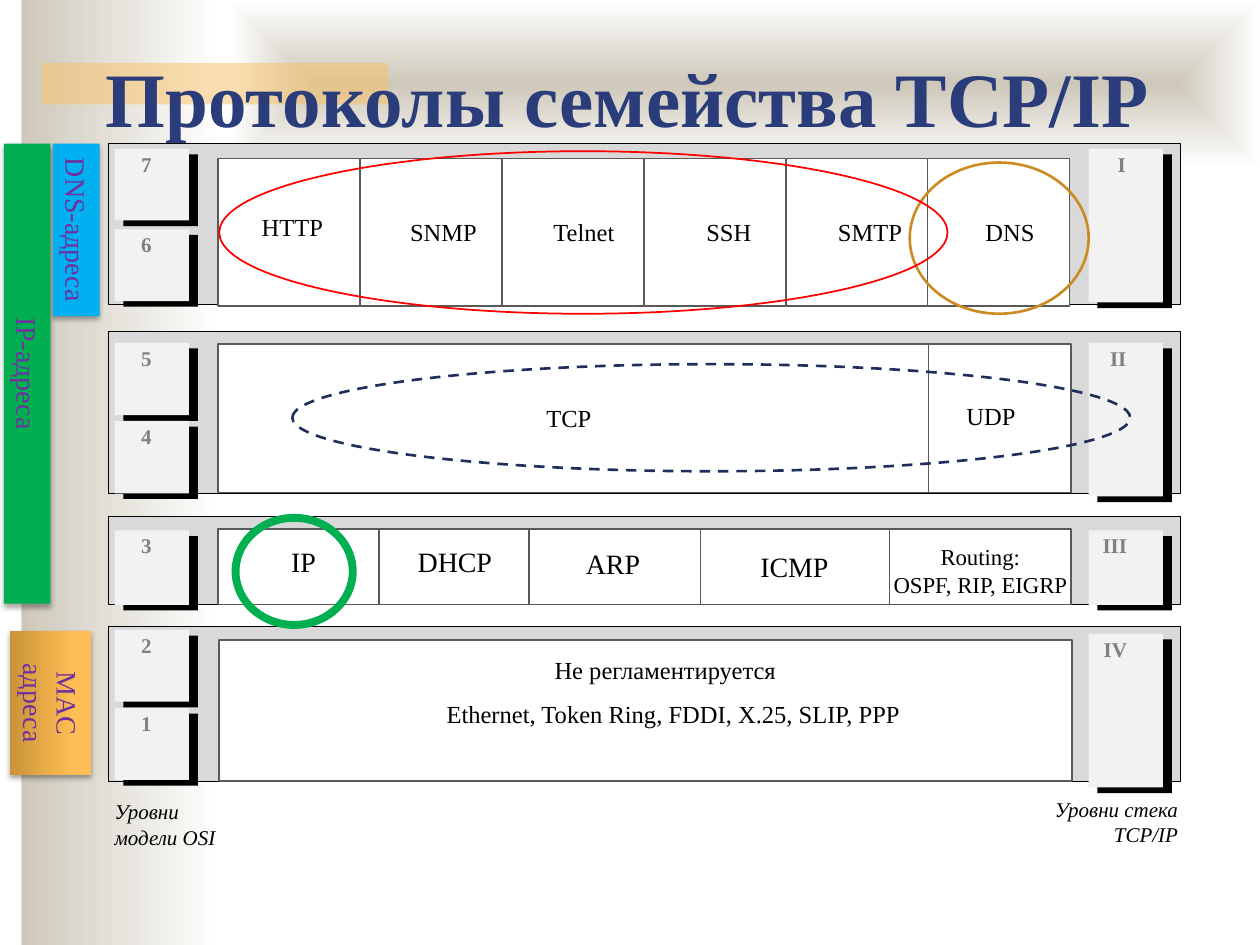
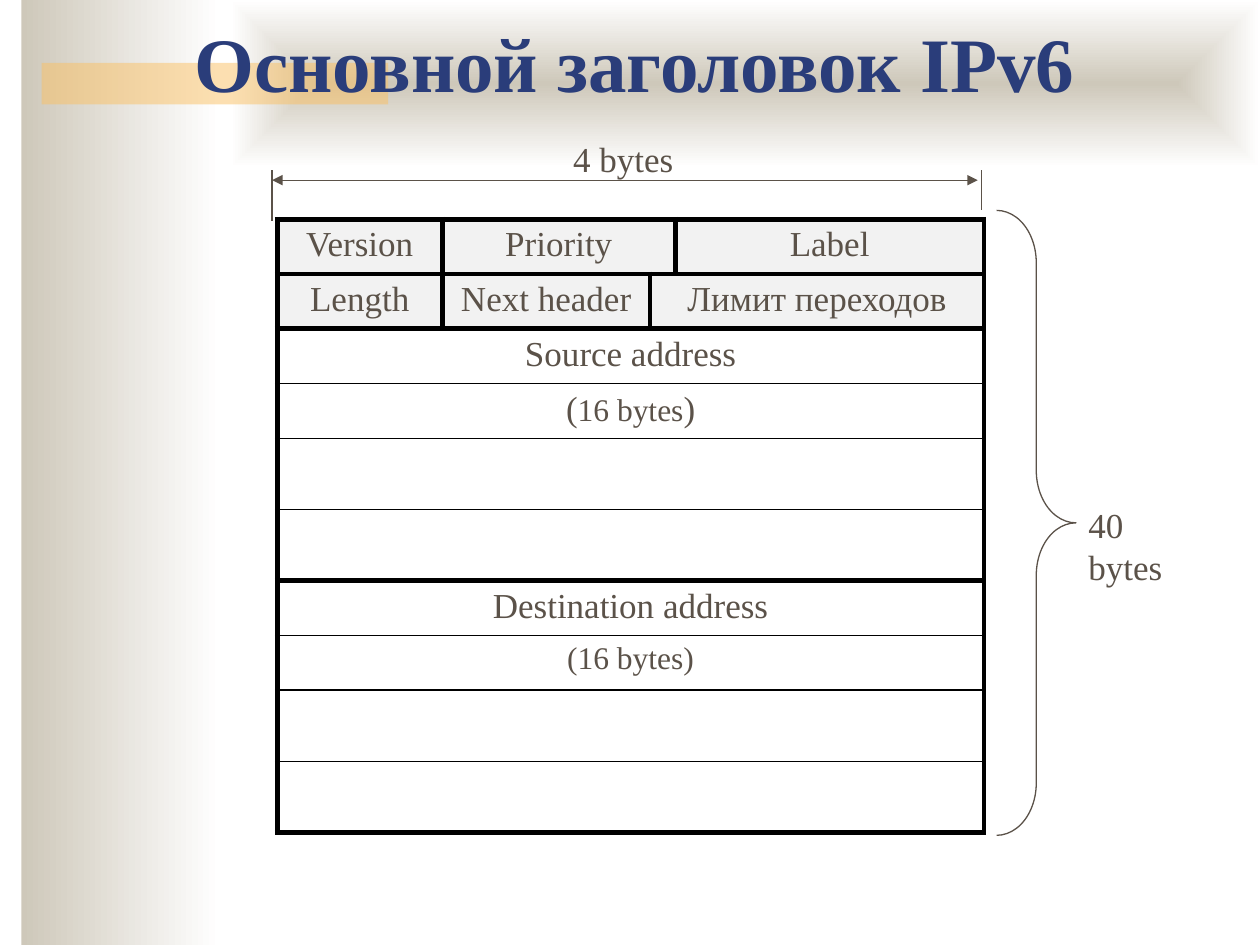
from lxml.etree import SubElement, fromstring
from pptx import Presentation
from pptx.dml.color import RGBColor
from pptx.enum.dml import MSO_LINE
from pptx.enum.shapes import MSO_CONNECTOR, MSO_SHAPE
from pptx.enum.text import MSO_ANCHOR, PP_ALIGN
from pptx.oxml.ns import nsdecls, qn
from pptx.util import Inches, Pt

# Slide grid: 100 columns by 75 rows
WIDTH, HEIGHT = Inches(10), Inches(7.5)
COL, ROW = WIDTH / 100, HEIGHT / 75

FONT = "Times New Roman"
BLACK = RGBColor(0x00, 0x00, 0x00)
WHITE = RGBColor(0xFF, 0xFF, 0xFF)
NAVY = RGBColor(0x2A, 0x3D, 0x7A)
DEEP = RGBColor(0x20, 0x2E, 0x5C)
SAND = RGBColor(0xCE, 0xC8, 0xBA)
AMBER = RGBColor(0xFA, 0xC1, 0x64)
PANEL = RGBColor(0xD9, 0xD9, 0xD9)
PALE = RGBColor(0xF2, 0xF2, 0xF2)
GRAY = RGBColor(0x80, 0x80, 0x80)
EDGE = RGBColor(0x59, 0x59, 0x59)
BROWN = RGBColor(0x5B, 0x52, 0x49)
PURPLE = RGBColor(0x70, 0x30, 0xA0)
GREEN = RGBColor(0x00, 0xB0, 0x50)
BLUE = RGBColor(0x00, 0xB0, 0xF0)
RED = RGBColor(0xFF, 0x00, 0x00)
GOLD = RGBColor(0xCB, 0x8B, 0x22)
OCHRE = [(0, RGBColor(0xCB, 0x94, 0x3A)), (80, RGBColor(0xFF, 0xBE, 0x54)),
         (100, RGBColor(0xFF, 0xBF, 0x56))]
FADE = [(0, SAND), (100, WHITE)]
LINEAR = '<a:lin ang="{}" scaled="0"/>'
CENTRE = ('<a:path path="shape"><a:fillToRect l="50000" t="50000" '
          'r="50000" b="50000"/></a:path>')


def place(x, y, w, h):
    return [round(v) for v in (x * COL, y * ROW, w * COL, h * ROW)]


# Basic elements
def shape(slide, box, fill=None, line=None, width=0.75, kind=MSO_SHAPE.RECTANGLE):
    item = slide.shapes.add_shape(kind, *place(*box))
    item.shadow.inherit = False
    if fill is None:
        item.fill.background()
    else:
        item.fill.solid()
        item.fill.fore_color.rgb = fill
    if line is None:
        item.line.fill.background()
    else:
        item.line.color.rgb = line
        item.line.width = Pt(width)
    return item


def blend(item, stops, way):
    """Swap the solid fill for a gradient."""
    marks = "".join(f'<a:gs pos="{at * 1000}"><a:srgbClr val="{tone}"/></a:gs>'
                    for at, tone in stops)
    old = item.element.spPr.find(qn("a:solidFill"))
    old.getparent().replace(old, fromstring(
        f'<a:gradFill {nsdecls("a")} rotWithShape="1">'
        f'<a:gsLst>{marks}</a:gsLst>{way}</a:gradFill>'))


def add_run(par, text, size, color, bold=False, italic=False):
    run = par.add_run()
    run.text = text
    font = run.font
    font.name, font.size, font.bold, font.italic = FONT, Pt(size), bold, italic
    font.color.rgb = color


def label(slide, box, lines, size, color=BLACK, align=PP_ALIGN.LEFT, pad=0, **look):
    frame = slide.shapes.add_textbox(*place(*box)).text_frame
    frame.word_wrap = True
    frame.margin_left = frame.margin_right = Inches(pad)
    frame.margin_top = frame.margin_bottom = Inches(pad / 2)
    for i, text in enumerate(lines):
        par = frame.add_paragraph() if i else frame.paragraphs[0]
        par.alignment = align
        add_run(par, text, size, color, **look)


def rule(slide, x1, y1, x2, y2, arrows=False):
    start, end = place(x1, y1, x2, y2)[:2], place(x1, y1, x2, y2)[2:]
    item = slide.shapes.add_connector(MSO_CONNECTOR.STRAIGHT, *start, *end)
    item.line.color.rgb = BROWN
    item.line.width = Pt(0.75)
    if arrows:
        line = item.line._get_or_add_ln()
        for end in ("a:headEnd", "a:tailEnd"):
            SubElement(line, qn(end), type="triangle")
    SubElement(item.element.spPr, qn("a:effectLst"))


# Shared background and title
def dress(layout, slide):
    """Draw the background bands and move them to the layout."""
    side = shape(slide, (1.7, 0, 15.8, 75), SAND)
    blend(side, FADE, LINEAR.format(0))
    top = shape(slide, (18.3, 0, 81.7, 13.3), SAND)
    blend(top, FADE, CENTRE)
    bar = shape(slide, (3.3, 5, 27.5, 3.3), AMBER)
    tone = bar.element.spPr.find(qn("a:solidFill"))[0]
    SubElement(tone, qn("a:alpha"), val="50000")
    for i, item in enumerate((side, top, bar)):
        item.element.nvSpPr.cNvPr.set("id", str(50 + i))
        layout.shapes.element.insert(2 + i, item.element)


def entitle(slide, text, x, y):
    title = slide.shapes.title
    title.left, title.top, title.width, title.height = place(x, y, 97.2, 11)
    frame = title.text_frame
    frame.vertical_anchor = MSO_ANCHOR.TOP
    frame.margin_top = Inches(0.11)
    par = frame.paragraphs[0]
    par.alignment = PP_ALIGN.CENTER
    add_run(par, text, 44, NAVY, bold=True)


# Protocol stack
def tile(slide, x, y, h, text, inset):
    shape(slide, (x + 0.7, y + 0.45, 5.9, h), BLACK)
    shape(slide, (x, y, 5.9, h), PALE)
    label(slide, (x + inset, y + 0.2, 4.2, 4), [text], 12, GRAY, bold=True)


def level(slide, top, h, osi, size, stack, cells):
    """One stack level: panel, OSI tiles, stack tile and protocol cells."""
    shape(slide, (8.6, top, 85.1, h), PANEL, BLACK, 0.65)
    for y, digit in osi:
        tile(slide, 9.1, y, size, digit, 2.1)
    y, tall, roman, inset = stack
    tile(slide, 86.4, y, tall, roman, inset)
    y, tall, edges = cells
    for left, right in zip(edges, edges[1:]):
        shape(slide, (left, y, right - left, tall), WHITE, EDGE, 0.85)


def tag(slide, cx, cy, w, h, fill, lines):
    """Address tag turned to read downwards."""
    item = shape(slide, (cx - w / 2, cy - h / 2, w, h), fill)
    item.rotation = 90
    effects = item.element.spPr.find(qn("a:effectLst"))
    effects.append(fromstring(
        f'<a:outerShdw {nsdecls("a")} blurRad="{Pt(3.1)}" dist="{Pt(1.8)}" '
        'dir="5400000" rotWithShape="0"><a:srgbClr val="000000">'
        '<a:alpha val="35000"/></a:srgbClr></a:outerShdw>'))
    frame = item.text_frame
    frame.vertical_anchor = MSO_ANCHOR.TOP
    par = frame.paragraphs[0]
    par.alignment = PP_ALIGN.CENTER
    par.space_before = Pt(3)
    for i, text in enumerate(lines):
        if i:
            par.add_line_break()
        add_run(par, text, 16, PURPLE)
    return item


def ring(slide, box, color, width):
    return shape(slide, box, None, color, width, MSO_SHAPE.OVAL)


def draw_stack(slide):
    entitle(slide, "Протоколы семейства TCP/IP", 1.2, 2.9)
    sixth = (84.9 - 17.3) / 6
    level(slide, 11.4, 12.8, [(11.8, "7"), (18.2, "6")], 5.7, (11.8, 12.2, "I", 2.3),
          (12.6, 11.7, [17.3 + i * sixth for i in range(7)]))
    level(slide, 26.3, 12.9, [(27.2, "5"), (33.4, "4")], 5.75, (27.2, 12.2, "II", 1.7),
          (27.3, 11.8, [17.3, 73.7, 85]))
    level(slide, 41, 7, [(42.1, "3")], 5.9, (42.1, 5.9, "III", 1.1),
          (42, 6, [17.3, 30.1, 42, 55.6, 70.6, 85]))
    level(slide, 49.7, 12.3, [(50, "2"), (56.2, "1")], 5.7, (50.3, 12.2, "IV", 1.2),
          (50.8, 11.2, [17.4, 85.1]))

    # Protocol names: text, left, top, width, size
    names = [("HTTP", 18.6, 16.8, 9.2, 14), ("SNMP", 30.9, 17.2, 8.6, 14),
             ("Telnet", 43.3, 17.2, 6.1, 14), ("SSH", 54.2, 17.2, 7.3, 14),
             ("SMTP", 65, 17.2, 8.1, 14), ("DNS", 76.4, 17.2, 7.5, 14),
             ("TCP", 42, 32, 6.3, 14), ("UDP", 75, 31.8, 7.3, 14),
             ("IP", 21.9, 43.2, 4.4, 16), ("DHCP", 33, 43.2, 6.2, 16),
             ("ARP", 44.5, 43.4, 8.3, 16), ("ICMP", 59, 43.6, 8.1, 16),
             ("Не регламентируется", 39.9, 52, 25.8, 14),
             ("Ethernet, Token Ring, FDDI, X.25, SLIP, PPP", 27.4, 55.5, 52.1, 14)]
    for text, x, y, w, size in names:
        label(slide, (x, y, w, 3), [text], size, align=PP_ALIGN.CENTER)
    label(slide, (70.3, 43.1, 15, 4.1), ["Routing:", "OSPF, RIP, EIGRP"], 13,
          align=PP_ALIGN.CENTER)

    # Captions
    label(slide, (9.1, 63.4, 9.6, 3.1), ["Уровни модели OSI"], 12, italic=True)
    label(slide, (82, 63.2, 11.5, 3.1), ["Уровни стека TCP/IP"], 12,
          align=PP_ALIGN.RIGHT, italic=True)

    # Address rings and tags
    ring(slide, (18.7, 41.1, 9.3, 8.5), GREEN, 4.5)
    ring(slide, (23.2, 28.9, 66.5, 8.5), DEEP, 1.5).line.dash_style = MSO_LINE.DASH
    ring(slide, (72.2, 12.9, 14.2, 12), GOLD, 1.5)
    ring(slide, (17.4, 12, 57.8, 12.9), RED, 1)
    mac = tag(slide, 4, 55.8, 11.4, 6.4, AMBER, ["MAC", "адреса"])
    blend(mac, OCHRE, LINEAR.format(270 * 60000))
    tag(slide, 2.15, 29.65, 36.5, 3.7, GREEN, ["IP-адреса"])
    tag(slide, 6.05, 18.25, 13.7, 3.7, BLUE, ["DNS-адреса"])


# IPv6 header
def border(cell, top, bottom):
    props = cell._tc.get_or_add_tcPr()
    widths = [("L", 3), ("R", 3), ("T", top), ("B", bottom)]
    for i, (side, width) in enumerate(widths):
        props.insert(i, fromstring(
            f'<a:ln{side} {nsdecls("a")} w="{Pt(width)}"><a:solidFill>'
            f'<a:srgbClr val="{BLACK}"/></a:solidFill></a:ln{side}>'))


def fill_cell(table, row, first, last, runs):
    cell = table.cell(row, first)
    if last > first:
        cell.merge(table.cell(row, last))
    par = cell.text_frame.paragraphs[0]
    par.alignment = PP_ALIGN.CENTER
    for text, size in runs:
        add_run(par, text, size, BROWN)


def draw_header(slide):
    entitle(slide, "Основной заголовок IPv6", 1.8, 0.1)
    cols = [13.1, 16.5, 2, 24.5]
    rows = [4.35] * 4 + [5.65] * 2 + [4.35] * 2 + [5.65] * 2
    table = slide.shapes.add_table(len(rows), len(cols),
                                   *place(22, 17.4, sum(cols), sum(rows))).table
    table.first_row = table.horz_banding = False
    for col, w in zip(table.columns, cols):
        col.width = round(w * COL)
    for row, h in zip(table.rows, rows):
        row.height = round(h * ROW)

    # Fields: row, first column, last column, runs
    fields = [(0, 0, 0, [("Version", 20)]), (0, 1, 2, [("Priority", 20)]),
              (0, 3, 3, [("Label", 20)]), (1, 0, 0, [("Length", 20)]),
              (1, 1, 1, [("Next header", 20)]), (1, 2, 3, [("Лимит переходов", 20)]),
              (2, 0, 3, [("Source address", 20)]),
              (3, 0, 3, [("(", 20), ("16 bytes", 18), (")", 20)]),
              (6, 0, 3, [("Destination address", 20)]),
              (7, 0, 3, [("(16 bytes)", 18)])]
    fields += [(r, 0, 3, []) for r in (4, 5, 8, 9)]
    for field in fields:
        fill_cell(table, *field)

    # Thick lines around each block, thin lines inside an address
    thick = {0, 1, 2, 6, 10}
    for r in range(len(rows)):
        for c in range(len(cols)):
            cell = table.cell(r, c)
            if r < 2:
                cell.fill.solid()
                cell.fill.fore_color.rgb = PALE
            else:
                cell.fill.background()
            border(cell, *(3 if edge in thick else 1 for edge in (r, r + 1)))

    # Dimensions
    rule(slide, 21.6, 13.5, 21.6, 17.5)
    rule(slide, 77.9, 13.5, 77.9, 16.7)
    rule(slide, 21.6, 14.3, 77.6, 14.3, arrows=True)
    label(slide, (44.5, 10.4, 24.4, 4.4), ["4 bytes"], 20, BROWN, pad=0.1)
    brace = shape(slide, (79.1, 16.7, 6.3, 49.6), None, BROWN, 0.75,
                  MSO_SHAPE.RIGHT_BRACE)
    brace.adjustments[0] = 0.66
    label(slide, (85.4, 39.5, 10, 7.7), ["40 bytes"], 20, BROWN, pad=0.1)


def main():
    deck = Presentation()
    deck.slide_width, deck.slide_height = WIDTH, HEIGHT
    layout = deck.slide_layouts[5]
    stack, header = [deck.slides.add_slide(layout) for _ in range(2)]
    dress(layout, stack)
    draw_stack(stack)
    draw_header(header)
    deck.save("out.pptx")


if __name__ == "__main__":
    main()
